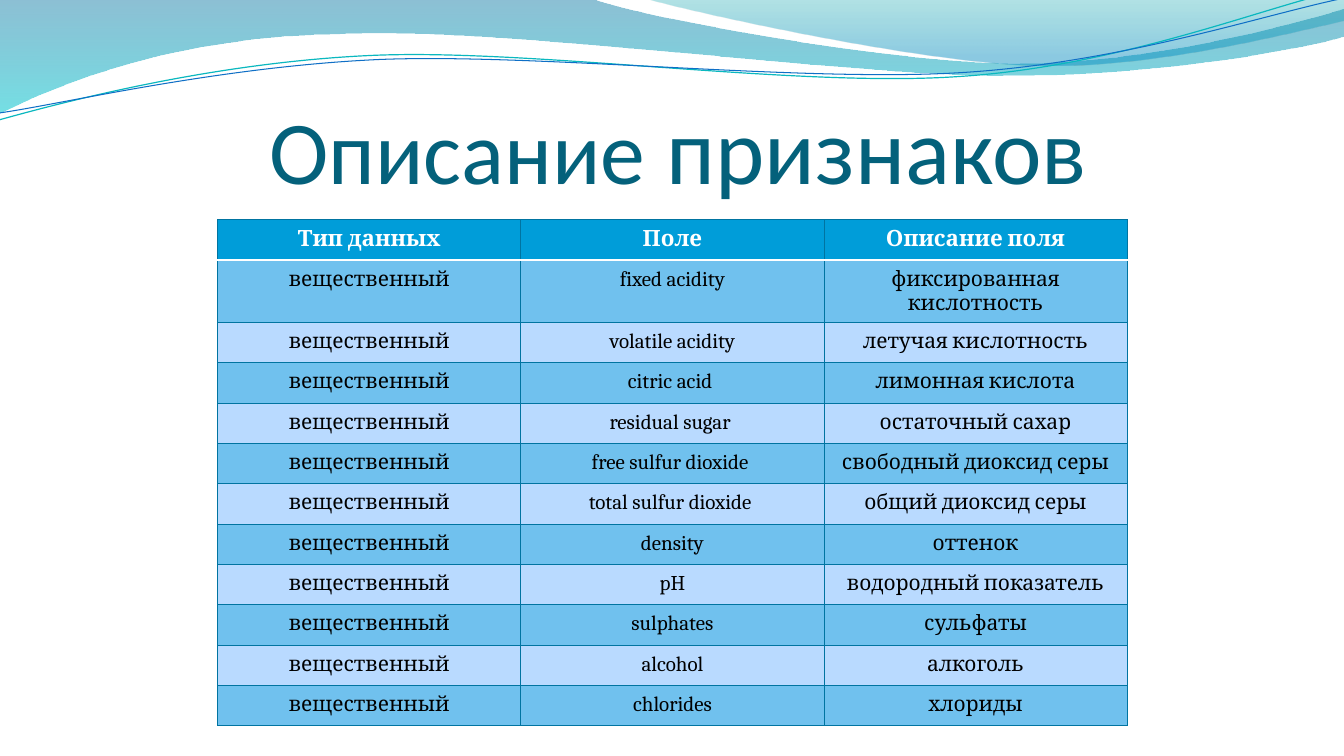
import math
from lxml import etree
from pptx import Presentation, util as u
from pptx.dml.color import RGBColor
from pptx.enum import text
from pptx.oxml.ns import qn

KIND = "вещественный"
HEAD = ("Тип данных", "Поле", "Описание поля")
FIELDS = [
    ("fixed acidity", "фиксированная кислотность"),
    ("volatile acidity", "летучая кислотность"),
    ("citric acid ", "лимонная кислота"),
    ("residual sugar ", "остаточный сахар"),
    ("free sulfur dioxide ", "свободный диоксид серы"),
    ("total sulfur dioxide ", "общий диоксид серы"),
    ("density", "оттенок"),
    ("pH", "водородный показатель"),
    ("sulphates", "сульфаты"),
    ("alcohol", "алкоголь"),
    ("chlorides", "хлориды"),
]
TITLE = [("Описание", 64), (" признаков", 67)]
THEME = {
    "title": {"name": "Calibri", "color": "04617B"},
    "head": {"name": "Cambria", "color": "FFFFFF", "size": u.Pt(16), "bold": True},
    "body": {"name": "Cambria", "color": "000000", "size": u.Pt(15), "bold": False},
    "fills": {"head": "009DD9", "bands": ("70C1EE", "B9DAFF")},
    "edge": ("0074A1", 0.75),
    "rule": ("FFFFFF", 2),
}
BANDS = [
    {"box": (-0.01, -0.01, 13.36, 1.14), "turn": 0,
     "stops": [(0, "0074A1", 45), (1, "00C6CF", 55)],
     "path": [(0, 0), (5.87, -0.01),
              (6.34, 0.17, 8.85, 0.63, 10.11, 0.63),
              (11.37, 0.63, 12.78, 0.26, 13.33, 0.09), (13.35, 0.36),
              (13.11, 0.44, 11.6, 0.76, 9.94, 0.75),
              (8.29, 0.75, 5.09, 0.28, 3.43, 0.34),
              (1.72, 0.36, 0.61, 0.83, -0.01, 1.13), (0, 0)]},
    {"box": (6.39, -0.01, 6.94, 0.7), "turn": 0,
     "stops": [(0, "00A1A9", 30), (0.8, "008BBF", 45)],
     "path": [(6.39, -0.01),
              (6.79, 0.11, 9.09, 0.62, 10.25, 0.65),
              (11.41, 0.69, 12.82, 0.32, 13.33, 0.21), (13.33, 0), (6.39, -0.01)]},
]
WAVES = [
    {"box": (-0.03, 0.22, 13.36, 0.71), "turn": 357.3, "line": ("0AB8BF", 0.85),
     "path": [(-0.01, 1.19), (0.64, 1.01, 2.11, 0.62, 3.69, 0.55),
              (5.27, 0.48, 7.89, 0.87, 9.5, 0.76),
              (11.1, 0.66, 12.51, 0.08, 13.31, -0.1)]},
    {"box": (-0.02, 0.3, 13.38, 0.58), "turn": 357.3, "line": ("0F6FC6", 0.75),
     "path": [(0, 1.12), (0.63, 1.03, 2.18, 0.66, 3.78, 0.59),
              (5.37, 0.53, 7.96, 0.82, 9.55, 0.72),
              (11.15, 0.62, 12.55, 0.14, 13.34, -0.02)]},
]


def rgb(code):
    return RGBColor.from_string(code)


def local(x, y, curve):
    left, top, width, height = curve["box"]
    angle = math.radians(-curve["turn"])
    dx, dy = x - left - width / 2, y - top - height / 2
    return (u.Inches(width / 2 + dx * math.cos(angle) - dy * math.sin(angle)),
            u.Inches(height / 2 + dx * math.sin(angle) + dy * math.cos(angle)))


def draw(slide, curve, close):
    parts = curve["path"]
    ends = [tuple(u.Inches(v) for v in part[-2:]) for part in parts]
    pen = slide.shapes.build_freeform(*ends[0])
    pen.add_line_segments(ends[1:], close=close)
    shape = pen.convert_to_shape()
    shape.shadow.inherit = False
    sizes = [u.Inches(v) for v in curve["box"]]
    for key, value in zip(("left", "top", "width", "height"), sizes):
        setattr(shape, key, value)
    shape.rotation = curve["turn"]
    track = next(shape.element.iter(qn("a:path")))
    for child in list(track):
        track.remove(child)
    track.set("w", str(sizes[2]))
    track.set("h", str(sizes[3]))
    for i, part in enumerate(parts):
        tag = "a:moveTo" if i == 0 else "a:lnTo" if len(part) == 2 else "a:cubicBezTo"
        move = etree.SubElement(track, qn(tag))
        for x, y in zip(part[::2], part[1::2]):
            px, py = local(x, y, curve)
            etree.SubElement(move, qn("a:pt"), x=str(px), y=str(py))
    if close:
        etree.SubElement(track, qn("a:close"))
    return shape


def add_band(slide, band):
    shape = draw(slide, band, True)
    shape.line.fill.background()
    shape.fill.gradient()
    shape.fill.gradient_angle = 270
    for stop, (place, code, alpha) in zip(shape.fill.gradient_stops, band["stops"]):
        stop.position = place
        stop.color.rgb = rgb(code)
    marks = list(shape.element.iter(qn("a:srgbClr")))
    for mark, (place, code, alpha) in zip(marks, band["stops"]):
        etree.SubElement(mark, qn("a:alpha"), val=str(alpha * 1000))


def add_wave(slide, wave):
    shape = draw(slide, wave, False)
    shape.fill.background()
    code, width = wave["line"]
    shape.line.color.rgb = rgb(code)
    shape.line.width = u.Pt(width)


def style(font, form):
    for key, value in form.items():
        if key == "color":
            font.color.rgb = rgb(value)
        else:
            setattr(font, key, value)


def edge(cell, side, look):
    code, width = look
    line = etree.SubElement(cell._tc.get_or_add_tcPr(), qn("a:ln" + side), w=str(u.Pt(width)))
    fill = etree.SubElement(line, qn("a:solidFill"))
    etree.SubElement(fill, qn("a:srgbClr"), val=code)


def add_grid(slide):
    rows = [HEAD] + [(KIND, *pair) for pair in FIELDS]
    frame = slide.shapes.add_table(len(rows), len(HEAD), u.Inches(2.16), u.Inches(2.18),
                                   u.Inches(9.02), u.Inches(0.4 * len(rows)))
    grid = frame.table
    grid.horz_banding = False
    pads = {"margin_left": 0.13, "margin_right": 0.13, "margin_top": 0.07, "margin_bottom": 0.07}
    for r, row in enumerate(rows):
        form = THEME["body" if r else "head"]
        fill = THEME["fills"]["bands"][(r - 1) % 2] if r else THEME["fills"]["head"]
        for c, words in enumerate(row):
            cell = grid.cell(r, c)
            for key, value in pads.items():
                setattr(cell, key, u.Inches(value))
            for side in "LRTB":
                white = (r, side) in ((0, "B"), (1, "T"))
                edge(cell, side, THEME["rule" if white else "edge"])
            cell.fill.solid()
            cell.fill.fore_color.rgb = rgb(fill)
            cell.text = words
            para = cell.text_frame.paragraphs[0]
            para.alignment = text.PP_ALIGN.CENTER
            style(para.runs[0].font, form)


def add_title(slide):
    box = slide.shapes.add_textbox(u.Inches(0.67), u.Inches(0.77), u.Inches(12.11), u.Inches(1.25))
    frame = box.text_frame
    form = {"word_wrap": True, "vertical_anchor": text.MSO_ANCHOR.BOTTOM, "margin_left": 0,
            "margin_right": 0, "margin_top": u.Inches(0.07), "margin_bottom": 0}
    for key, value in form.items():
        setattr(frame, key, value)
    para = frame.paragraphs[0]
    para.alignment = text.PP_ALIGN.CENTER
    for words, size in TITLE:
        run = para.add_run()
        run.text = words
        style(run.font, {**THEME["title"], "size": u.Pt(size)})


def main():
    deck = Presentation()
    deck.slide_width, deck.slide_height = u.Inches(13.33), u.Inches(7.5)
    slide = deck.slides.add_slide(deck.slide_layouts[6])
    for band in BANDS:
        add_band(slide, band)
    for wave in WAVES:
        add_wave(slide, wave)
    add_grid(slide)
    add_title(slide)
    deck.save("out.pptx")


if __name__ == "__main__":
    main()
